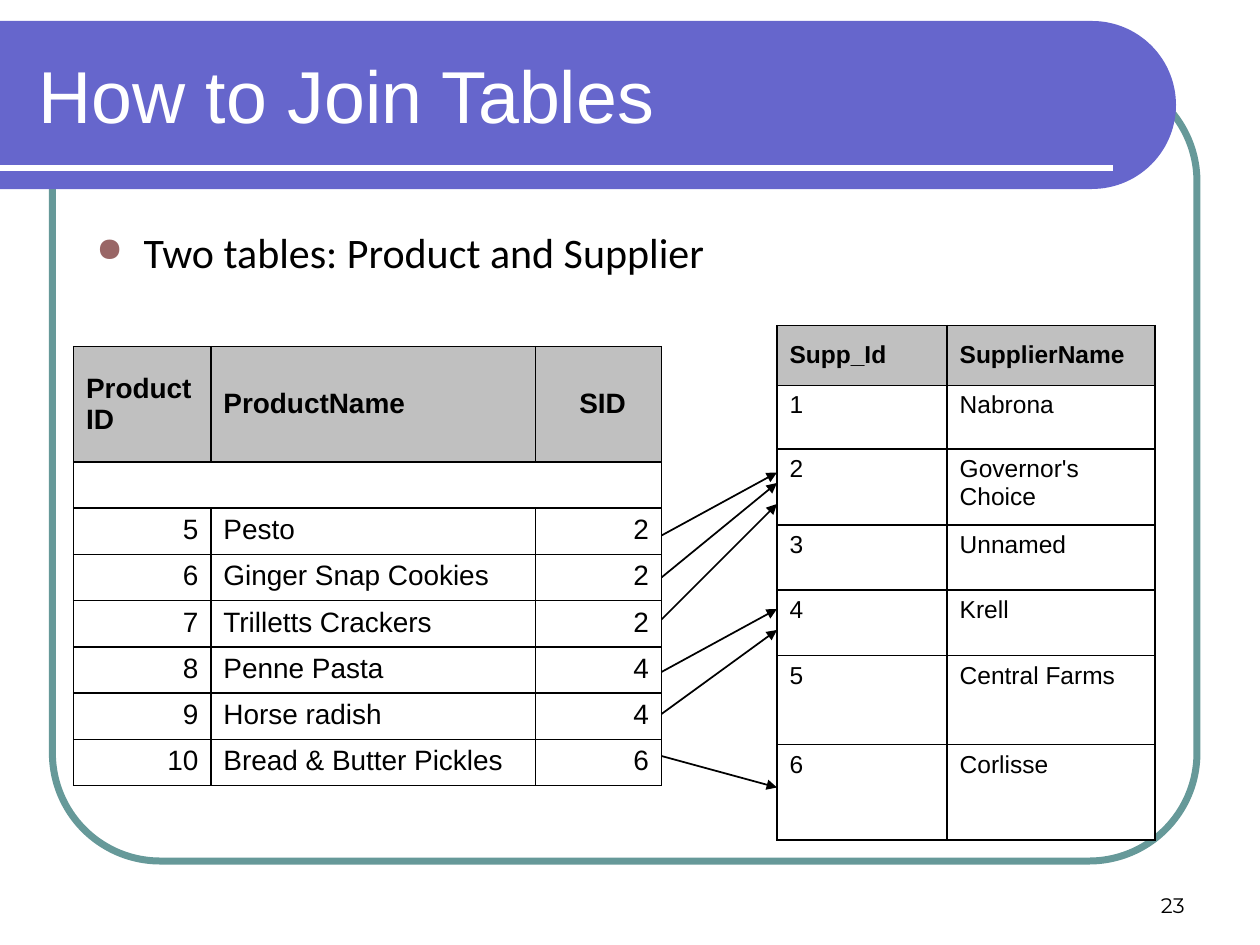
import dataclasses
import math
import lxml.etree
import pptx
import pptx.dml.color
import pptx.enum.shapes
import pptx.enum.text
import pptx.oxml
import pptx.oxml.ns
import pptx.util

Pt = pptx.util.Pt
Align = pptx.enum.text.PP_ALIGN
Anchor = pptx.enum.text.MSO_ANCHOR
Shape = pptx.enum.shapes.MSO_SHAPE
qn = pptx.oxml.ns.qn

COLORS = {
    "black": "000000", "white": "FFFFFF", "grey": "C0C0C0",
    "teal": "669999", "violet": "6666CC", "rose": "996666",
}


@dataclasses.dataclass
class Label:
    text: str
    box: tuple[float, float, float, float]
    size: float
    font: str
    color: str = "black"
    anchor: Anchor = Anchor.TOP
    align: Align = Align.LEFT


@dataclasses.dataclass
class Grid:
    left: float
    top: float
    widths: list[float]
    heights: list[float]
    size: float
    aligns: list[Align]
    rows: list[list[str]]


@dataclasses.dataclass
class Link:
    start: float
    end: float


def rgb(name: str) -> pptx.dml.color.RGBColor:
    return pptx.dml.color.RGBColor.from_string(COLORS[name])


def style(para, size: float, font: str, color: str, bold: bool = False) -> None:
    para.font.size = Pt(size)
    para.font.name = font
    para.font.bold = bold
    para.font.color.rgb = rgb(color)


def add_label(slide, label: Label):
    box = slide.shapes.add_textbox(*map(Pt, label.box))
    frame = box.text_frame
    frame.word_wrap = True
    frame.vertical_anchor = label.anchor
    para = frame.paragraphs[0]
    para.text = label.text
    para.alignment = label.align
    style(para, label.size, label.font, label.color)
    return para


def add_bullet(para, color: str) -> None:
    props = para._p.get_or_add_pPr()
    props.set("marL", str(Pt(27)))
    props.set("indent", str(Pt(-27)))
    tint = lxml.etree.Element(qn("a:buClr"))
    lxml.etree.SubElement(tint, qn("a:srgbClr"), val=COLORS[color])
    size = lxml.etree.Element(qn("a:buSzPct"), val="80000")
    mark = lxml.etree.Element(qn("a:buChar"), char="●")
    for spot, item in enumerate((tint, size, mark)):
        props.insert(spot, item)


def add_edges(cell) -> None:
    props = cell._tc.get_or_add_tcPr()
    for spot, side in enumerate(("lnL", "lnR", "lnT", "lnB")):
        edge = lxml.etree.Element(qn(f"a:{side}"), w=str(Pt(1)))
        fill = lxml.etree.SubElement(edge, qn("a:solidFill"))
        lxml.etree.SubElement(fill, qn("a:srgbClr"), val=COLORS["black"])
        props.insert(spot, edge)


def add_grid(slide, grid: Grid):
    table = slide.shapes.add_table(
        len(grid.rows), len(grid.widths), Pt(grid.left), Pt(grid.top),
        Pt(sum(grid.widths)), Pt(sum(grid.heights))).table
    table.first_row = table.horz_banding = False
    for col, width in zip(table.columns, grid.widths):
        col.width = Pt(width)
    for r, (height, row) in enumerate(zip(grid.heights, grid.rows)):
        table.rows[r].height = Pt(height)
        head = r == 0
        for c, text in enumerate(row):
            cell = table.cell(r, c)
            cell.text = text
            cell.vertical_anchor = Anchor.MIDDLE if head else Anchor.TOP
            cell.fill.solid()
            cell.fill.fore_color.rgb = rgb("grey" if head else "white")
            para = cell.text_frame.paragraphs[0]
            para.alignment = Align.LEFT if head else grid.aligns[c]
            style(para, grid.size, "Arial", "black", head)
            add_edges(cell)
    return table


def add_line(slide, start: tuple, end: tuple, color: str, width: float,
             arrow: bool = False) -> None:
    line = slide.shapes.add_connector(
        pptx.enum.shapes.MSO_CONNECTOR.STRAIGHT, *map(Pt, start + end))
    line.line.color.rgb = rgb(color)
    line.line.width = Pt(width)
    if arrow:
        lxml.etree.SubElement(
            line.line._get_or_add_ln(), qn("a:tailEnd"), type="triangle")
    lxml.etree.SubElement(line._element.spPr, qn("a:effectLst"))


def add_frame(slide) -> None:
    frame = slide.shapes.add_shape(
        Shape.ROUNDED_RECTANGLE, Pt(30), Pt(42), Pt(654), Pt(450))
    frame.adjustments[0] = 0.137
    frame.shadow.inherit = False
    frame.fill.background()
    frame.line.color.rgb = rgb("teal")
    frame.line.width = Pt(4)


def add_banner(slide) -> None:
    arc = [(Pt(624 + 48 * math.cos(turn)), Pt(60 + 48 * math.sin(turn)))
           for turn in (math.radians(step) for step in range(-90, 91, 3))]
    pen = slide.shapes.build_freeform(0, Pt(12))
    pen.add_line_segments(arc + [(0, Pt(108))], close=True)
    banner = pen.convert_to_shape()
    banner.shadow.inherit = False
    banner.fill.solid()
    banner.fill.fore_color.rgb = rgb("violet")
    banner.line.fill.background()


GOODS = Grid(
    42, 198, [78.5, 185.5, 72], [66] + [26.15] * 7, 16,
    [Align.RIGHT, Align.LEFT, Align.RIGHT],
    [["Product\vID", "ProductName", "SID"],
     ["", "", ""],
     ["5", "Pesto", "2"],
     ["6", "Ginger Snap Cookies", "2"],
     ["7", "Trilletts Crackers", "2"],
     ["8", "Penne Pasta", "4"],
     ["9", "Horse radish", "4"],
     ["10", "Bread & Butter Pickles", "6"]])
FIRMS = Grid(
    444, 186, [97.2, 118.8], [34.2, 36.5, 43.2, 37.4, 37.4, 50.8, 54.6], 14,
    [Align.LEFT, Align.LEFT],
    [["Supp_Id", "SupplierName"],
     ["1", "Nabrona"],
     ["2", "Governor's Choice"],
     ["3", "Unnamed"],
     ["4", "Krell"],
     ["5", "Central Farms"],
     ["6", "Corlisse"]])
LINKS = [Link(306, 270), Link(330, 276), Link(354, 288),
         Link(384, 348), Link(408, 360), Link(432, 450)]


def main() -> None:
    deck = pptx.Presentation()
    deck.slide_width, deck.slide_height = Pt(720), Pt(540)
    slide = deck.slides.add_slide(deck.slide_layouts[6])
    add_frame(slide)
    add_banner(slide)
    add_line(slide, (0, 96), (636, 96), "white", 3)
    add_label(slide, Label("23", (516, 492, 168, 36), 12, "Montserrat",
                           anchor=Anchor.BOTTOM, align=Align.RIGHT))
    add_label(slide, Label("How to Join Tables", (15, 18, 631.5, 72), 42,
                           "Arial", "white", Anchor.MIDDLE))
    body = add_label(slide, Label("Two tables: Product and Supplier",
                                  (48, 126, 624, 348), 24, "Calibri"))
    add_bullet(body, "rose")
    add_grid(slide, FIRMS)
    goods = add_grid(slide, GOODS)
    goods.cell(1, 0).merge(goods.cell(1, 2))
    goods.cell(0, 2).text_frame.paragraphs[0]._p.pPr.set("marL", str(Pt(17.8)))
    for link in LINKS:
        add_line(slide, (378, link.start), (444, link.end), "black", 1, True)
    deck.save("out.pptx")


main()
